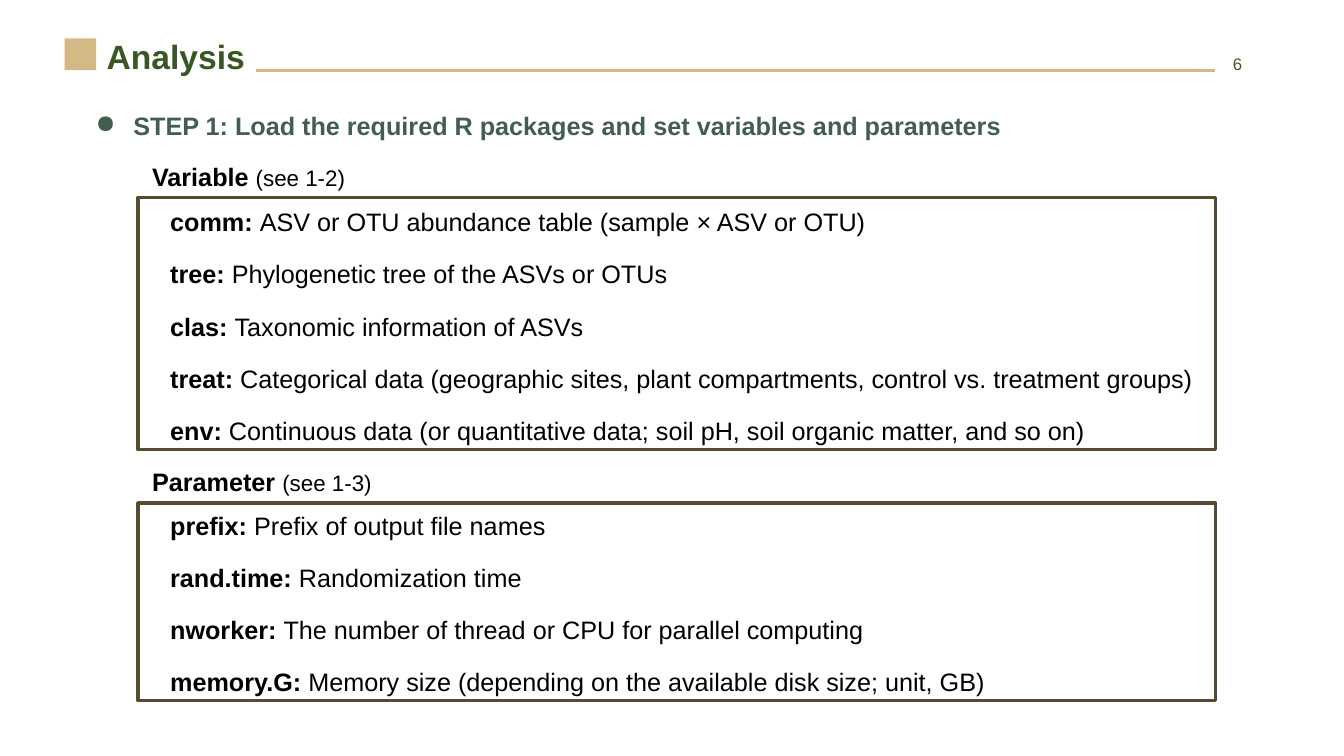
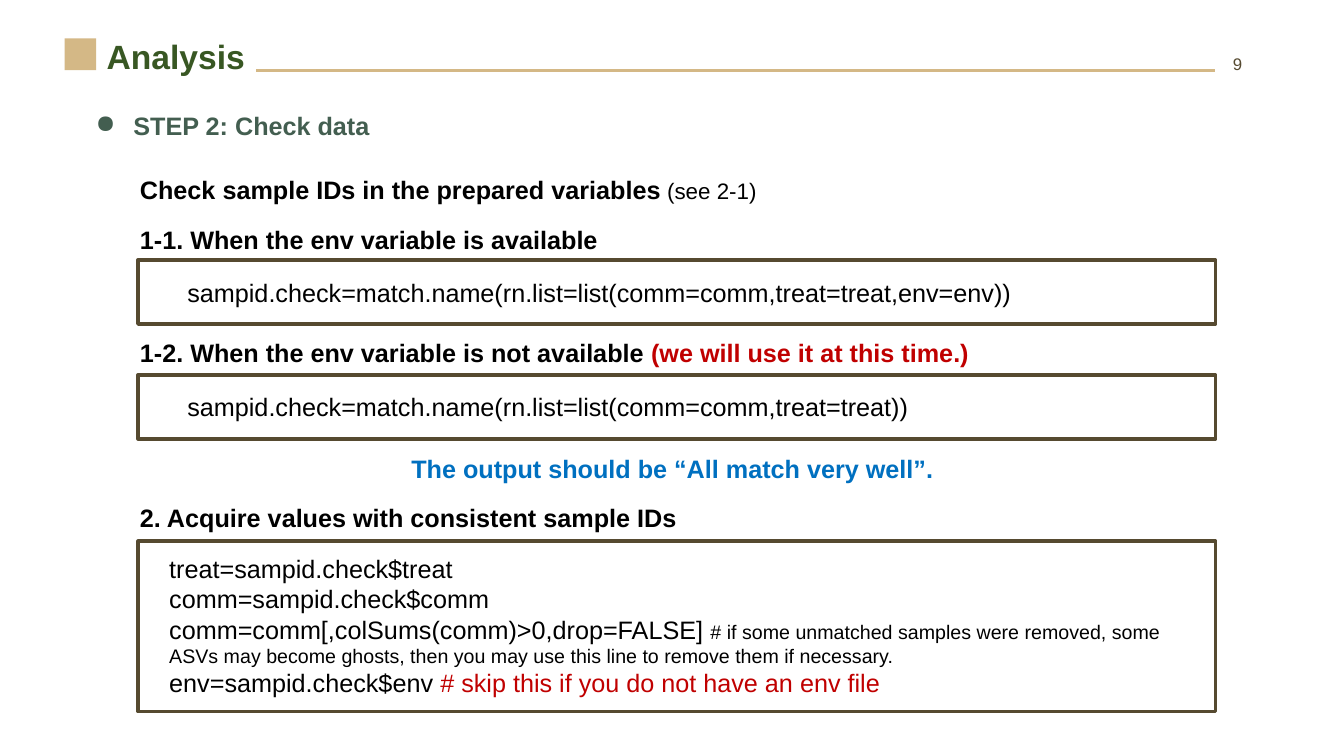
import pptx
import pptx.dml.color
import pptx.enum.shapes
import pptx.enum.text
import pptx.oxml
import pptx.util
from lxml import etree

Pt = pptx.util.Pt
color = pptx.dml.color.RGBColor.from_string
ALIGN = pptx.enum.text.PP_ALIGN

FONT = "Arial"
BLACK, RED, BLUE = "000000", "C00000", "0070C0"
SAND, BROWN = "D4B886", "564A30"
TITLE_GREEN, STEP_GREEN = "385723", "435E50"
FRAME_LEFT, FRAME_WIDTH = 98.6, 769.7
LINE_HEIGHT = 28.8
ROW_GAP = 15.7


def add_rectangle(slide, left, top, width, height, fill=None, line=None):
    shape = slide.shapes.add_shape(
        pptx.enum.shapes.MSO_SHAPE.RECTANGLE, Pt(left), Pt(top), Pt(width), Pt(height))
    shape.shadow.inherit = False
    if fill:
        shape.fill.solid()
        shape.fill.fore_color.rgb = color(fill)
    else:
        shape.fill.background()
    if line:
        shape.line.color.rgb = color(line)
        shape.line.width = Pt(2.5)
    else:
        shape.line.fill.background()


def add_text(slide, left, top, width, paragraphs, height=LINE_HEIGHT, size=18,
             bold=False, ink=BLACK, align=ALIGN.LEFT, gap=0, bullet=None):
    """Add a text box; each paragraph is a list of (text, run font overrides)."""
    box = slide.shapes.add_textbox(Pt(left), Pt(top), Pt(width), Pt(height))
    frame = box.text_frame
    frame.word_wrap = True
    for index, runs in enumerate(paragraphs):
        paragraph = frame.add_paragraph() if index else frame.paragraphs[0]
        paragraph.alignment = align
        if index and gap:
            paragraph.space_before = Pt(gap)
        if bullet:
            properties = paragraph._p.get_or_add_pPr()
            properties.set("marL", str(Pt(27)))
            properties.set("indent", str(Pt(-27)))
            etree.SubElement(properties, pptx.oxml.ns.qn("a:buChar")).set("char", bullet)
        paragraph.font.name = FONT
        paragraph.font.size = Pt(size)
        paragraph.font.bold = bold
        paragraph.font.color.rgb = color(ink)
        for text, overrides in runs:
            run = paragraph.add_run()
            run.text = text
            if "size" in overrides:
                run.font.size = Pt(overrides["size"])
            if "bold" in overrides:
                run.font.bold = overrides["bold"]
            if "ink" in overrides:
                run.font.color.rgb = color(overrides["ink"])


presentation = pptx.Presentation()
presentation.slide_width = Pt(960)
presentation.slide_height = Pt(540)

# Header shared by both slides
slides = []
for number, step in [
    ("6", "STEP 1: Load the required R packages and set variables and parameters"),
    ("9", "STEP 2: Check data"),
]:
    slide = presentation.slides.add_slide(presentation.slide_layouts[6])
    rule = slide.shapes.add_connector(
        pptx.enum.shapes.MSO_CONNECTOR.STRAIGHT, Pt(183), Pt(50.4), Pt(867.6), Pt(50.4))
    rule.line.color.rgb = color(SAND)
    rule.line.width = Pt(2.5)
    etree.SubElement(rule._element.spPr, pptx.oxml.ns.qn("a:effectLst"))
    add_rectangle(slide, 46.1, 27.4, 22.6, 22.8, fill=SAND)
    add_text(slide, 69.1, 21.8, 113.8, [[("Analysis", {})]], height=36,
             size=24, bold=True, ink=TITLE_GREEN)
    add_text(slide, 862.6, 34.6, 31.7, [[(number, {})]], height=21.6,
             size=12, ink="564A31", align=ALIGN.RIGHT)
    add_text(slide, 61.2, 75, 787, [[(step, {})]], bold=True, ink=STEP_GREEN, bullet="●")
    slides.append(slide)
variables_slide, check_slide = slides

# Step 1: framed definition lists
definition_lists = [
    ("Variable ", "(see 1-2)", 111.6, 141.1, 180, 144, [
        ("comm: ", "ASV or OTU abundance table (sample × ASV or OTU)"),
        ("tree: ", "Phylogenetic tree of the ASVs or OTUs"),
        ("clas: ", "Taxonomic information of ASVs"),
        ("treat: ", "Categorical data (geographic sites, plant compartments, "
                    "control vs. treatment groups)"),
        ("env: ", "Continuous data (or quantitative data; soil pH, "
                  "soil organic matter, and so on)"),
    ]),
    ("Parameter ", "(see 1-3)", 329.8, 359.3, 141.1, 360.7, [
        ("prefix: ", "Prefix of output file names"),
        ("rand.time: ", "Randomization time"),
        ("nworker: ", "The number of thread or CPU for parallel computing"),
        ("memory.G: ", "Memory size (depending on the available disk size; unit, GB)"),
    ]),
]
for heading, reference, heading_top, frame_top, frame_height, text_top, rows in definition_lists:
    add_text(variables_slide, 101.5, heading_top, 315,
             [[(heading, {"bold": True}), (reference, {"size": 16})]])
    add_rectangle(variables_slide, FRAME_LEFT, frame_top, FRAME_WIDTH, frame_height, line=BROWN)
    add_text(variables_slide, 114.5, text_top, 776,
             [[(name, {"bold": True}), (meaning, {})] for name, meaning in rows],
             height=LINE_HEIGHT + 36.4 * (len(rows) - 1), gap=ROW_GAP)

# Step 2: headings and framed code
headings = [
    (121, [("Check sample IDs in the prepared variables", {}),
           (" (see 2-1)", {"size": 16, "bold": False})]),
    (157, [("1-1. When the env variable is available", {})]),
    (237.6, [("1-2. When the env variable is not available ", {}),
             ("(we will use it at this time.)", {"ink": RED})]),
    (355, [("2. Acquire values with consistent sample IDs", {})]),
]
for top, runs in headings:
    add_text(check_slide, 92.9, top, 629, [runs], bold=True)

for top, code in [
    (185.8, "sampid.check=match.name(rn.list=list(comm=comm,treat=treat,env=env))"),
    (267.8, "sampid.check=match.name(rn.list=list(comm=comm,treat=treat))"),
]:
    add_rectangle(check_slide, FRAME_LEFT, top, FRAME_WIDTH, 45.7, line=BROWN)
    add_text(check_slide, 126.7, top + 8.4, 685, [[(code, {})]])

add_text(check_slide, 211, 320.4, 538.6, [[("The output should be “All match very well”.", {})]],
         bold=True, ink=BLUE, align=ALIGN.CENTER)

add_rectangle(check_slide, FRAME_LEFT, 386.6, FRAME_WIDTH, 121.7, line=BROWN)
add_text(check_slide, 113.8, 391.7, 732.2, [
    [("treat=sampid.check$treat", {})],
    [("comm=sampid.check$comm", {})],
    [("comm=comm[,colSums(comm)>0,drop=FALSE] ", {}),
     ("# if some unmatched samples were removed, some ASVs may become ghosts, "
      "then you may use this line to remove them if necessary.", {"size": 14})],
    [("env=sampid.check$env ", {}),
     ("# skip this if you do not have an env file", {"ink": RED})],
], height=111.6)

presentation.save("out.pptx")
